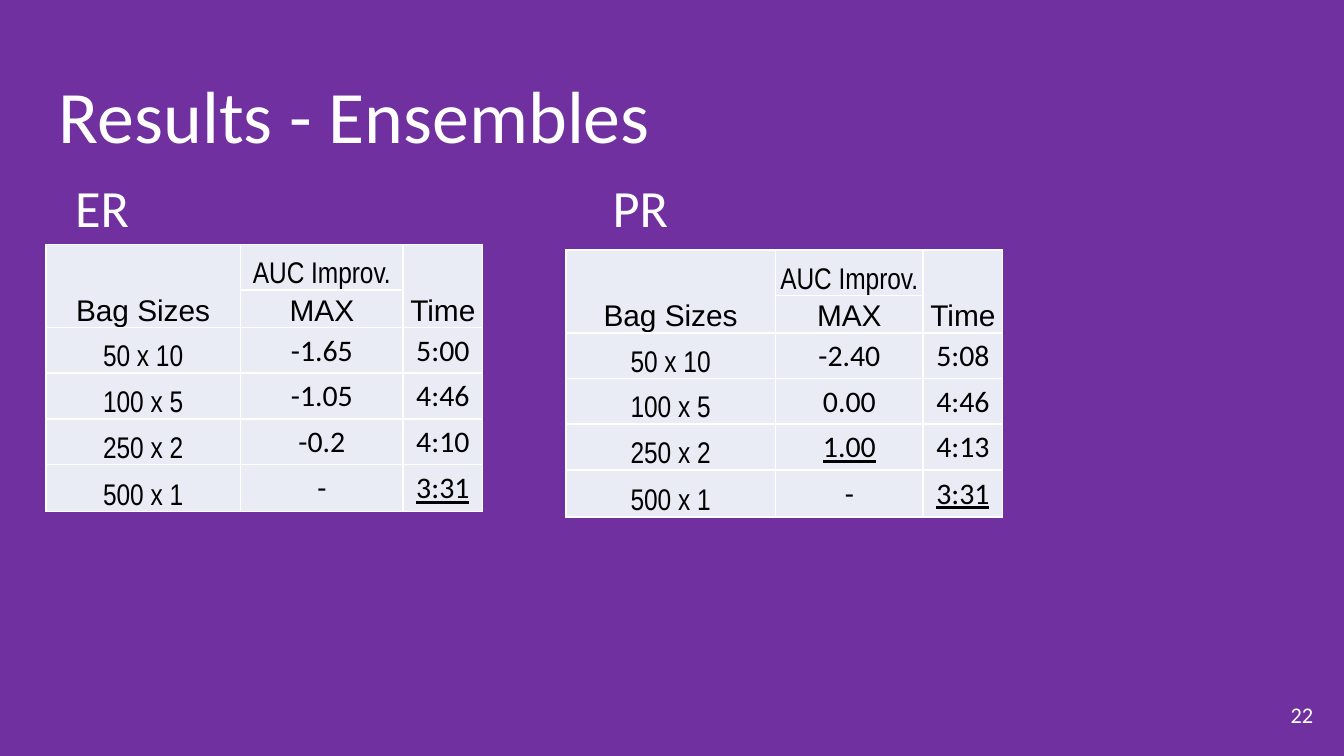
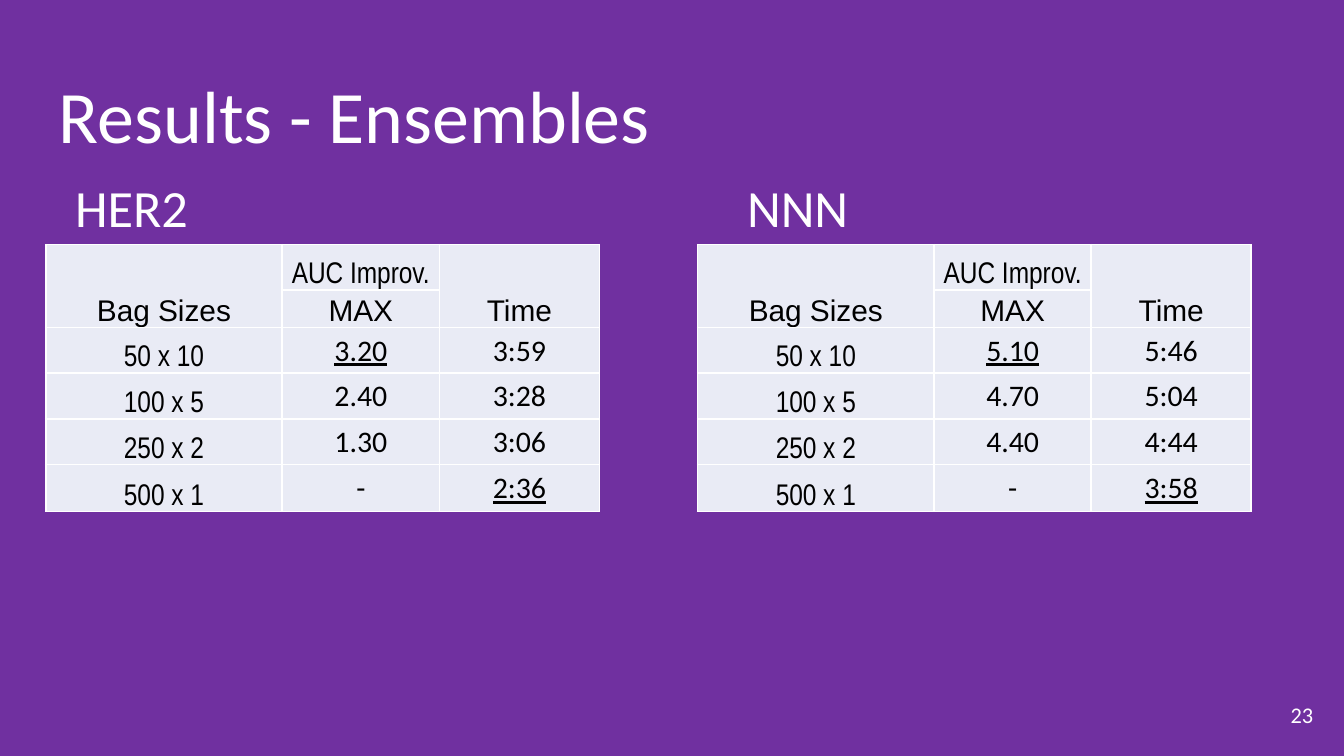
"""Builds two slides comparing ensemble results in paired tables."""
from lxml import etree
from pptx import Presentation
from pptx.dml.color import RGBColor
from pptx.enum.text import MSO_ANCHOR, PP_ALIGN
from pptx.oxml.ns import qn
from pptx.util import Inches, Pt

TOP, MID, LOW = MSO_ANCHOR.TOP, MSO_ANCHOR.MIDDLE, MSO_ANCHOR.BOTTOM
LEFT, CENTER, RIGHT = PP_ALIGN.LEFT, PP_ALIGN.CENTER, PP_ALIGN.RIGHT
PURPLE = RGBColor(0x70, 0x30, 0xA0)
WHITE = RGBColor(0xFF, 0xFF, 0xFF)
BLACK = RGBColor(0, 0, 0)
PALE = RGBColor(0xE9, 0xEB, 0xF5)
SANS, NARROW, BODY = "Arial", "Arial Narrow", "Calibri"

TITLE = "Results - Ensembles"
BAGS = ["50 x 10", "100 x 5", "250 x 2", "500 x 1"]
ROWS = [0.34, 0.27, 0.34, 0.34, 0.34, 0.35]
WIDE = [1.76, 1.17, 1.19]
SLIDES = [
    {"page": 22, "tabs": 4, "tables": [
        {"name": "ER", "at": (0.34, 1.82), "cols": [1.45, 1.21, 0.59],
         "auc": ["-1.65", "-1.05", "-0.2", "-"],
         "time": ["5:00", "4:46", "4:10", "3:31"], "best": ["3:31"]},
        {"name": "PR", "at": (4.21, 1.86), "cols": [1.56, 1.1, 0.59],
         "auc": ["-2.40", "0.00", "1.00", "-"],
         "time": ["5:08", "4:46", "4:13", "3:31"], "best": ["1.00", "3:31"]},
    ]},
    {"page": 23, "tabs": 5, "tables": [
        {"name": "HER2", "at": (0.34, 1.82), "cols": WIDE,
         "auc": ["3.20", "2.40", "1.30", "-"],
         "time": ["3:59", "3:28", "3:06", "2:36"], "best": ["3.20", "2:36"]},
        {"name": "NNN", "at": (5.19, 1.82), "cols": WIDE,
         "auc": ["5.10", "4.70", "4.40", "-"],
         "time": ["5:46", "5:04", "4:44", "3:58"], "best": ["5.10", "3:58"]},
    ]},
]


def style(para, size, face, color, align):
    para.alignment = align
    font = para.font
    font.size, font.name = Pt(size), face
    font.color.rgb = color


def label(slide, text, box, size, align=LEFT, anchor=TOP, space=0.9):
    frame = slide.shapes.add_textbox(*map(Inches, box)).text_frame
    frame.word_wrap = True
    frame.vertical_anchor = anchor
    frame.margin_left = frame.margin_right = Inches(0.1)
    frame.margin_top = frame.margin_bottom = Inches(0.1)
    para = frame.paragraphs[0]
    para.text = text
    para.line_spacing = space
    style(para, size, BODY, WHITE, align)
    return para


def border(cell):
    props = cell._tc.get_or_add_tcPr()
    for i, side in enumerate(("lnL", "lnR", "lnT", "lnB")):
        line = etree.Element(qn("a:" + side), w=str(Pt(1)))
        fill = etree.SubElement(line, qn("a:solidFill"))
        etree.SubElement(fill, qn("a:srgbClr"), val=str(WHITE))
        props.insert(i, line)


def fill_cell(cell, text, face, anchor, best):
    cell.fill.solid()
    cell.fill.fore_color.rgb = PALE
    cell.margin_left = cell.margin_right = cell.margin_top = Inches(0.01)
    cell.margin_bottom = 0
    cell.vertical_anchor = anchor
    para = cell.text_frame.paragraphs[0]
    para.text = text
    style(para, 16, face, BLACK, CENTER)
    if best:
        para.font.underline = True
    border(cell)


def add_grid(slide, data):
    cols = data["cols"]
    box = (*data["at"], sum(cols), sum(ROWS))
    grid = slide.shapes.add_table(len(ROWS), len(cols), *map(Inches, box)).table
    for col, width in zip(grid.columns, cols):
        col.width = Inches(width)
    for row, height in zip(grid.rows, ROWS):
        row.height = Inches(height)
    head = [["Bag Sizes", "AUC Improv.", "Time"], ["", "MAX", ""]]
    cells = head + list(zip(BAGS, data["auc"], data["time"]))
    for r, row in enumerate(cells):
        for c, text in enumerate(row):
            if r < 2:
                face, anchor = (NARROW if (r, c) == (0, 1) else SANS), LOW
            else:
                face, anchor = (BODY, MID) if c else (NARROW, LOW)
            fill_cell(grid.cell(r, c), text, face, anchor, text in data["best"])
    for c in (0, 2):
        grid.cell(0, c).merge(grid.cell(1, c))


def main():
    deck = Presentation()
    deck.slide_width = Inches(10)
    deck.slide_height = Inches(10) * 9 // 16
    for item in SLIDES:
        slide = deck.slides.add_slide(deck.slide_layouts[6])
        slide.background.fill.solid()
        slide.background.fill.fore_color.rgb = PURPLE
        label(slide, TITLE, (0.34, 0.49, 9.32, 0.63), 39.6)
        names = ("\t" * item["tabs"]).join(t["name"] for t in item["tables"])
        para = label(slide, names, (0.34, 1.26, 9.32, 3.74), 28)
        props = para._p.get_or_add_pPr()
        props.set("marL", str(Inches(0.12)))
        props.set("defTabSz", str(Inches(1)))
        for data in item["tables"]:
            add_grid(slide, data)
        label(slide, str(item["page"]), (9.27, 5.1, 0.6, 0.43), 12, RIGHT, MID, 1.0)
    deck.save("out.pptx")


if __name__ == "__main__":
    main()
